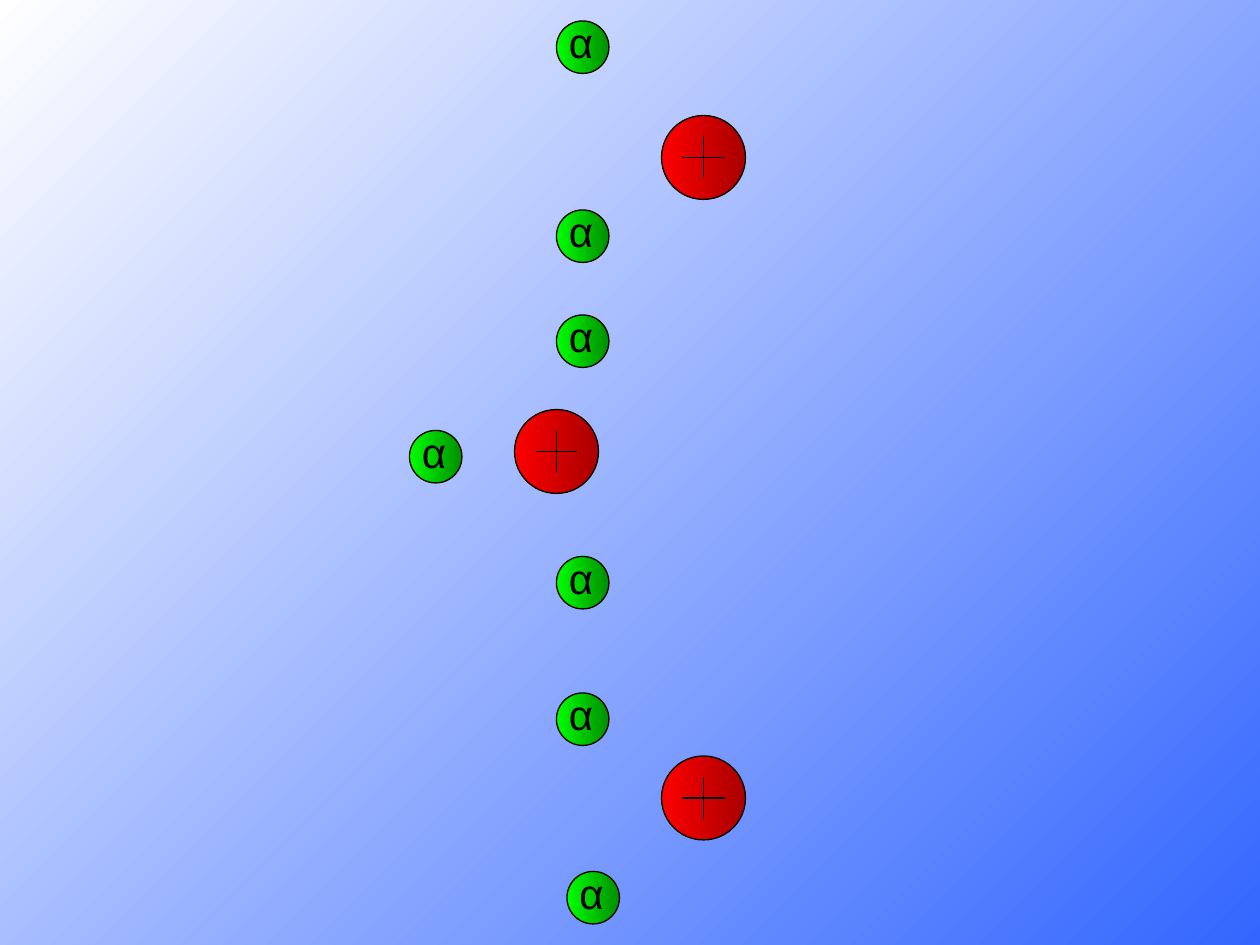
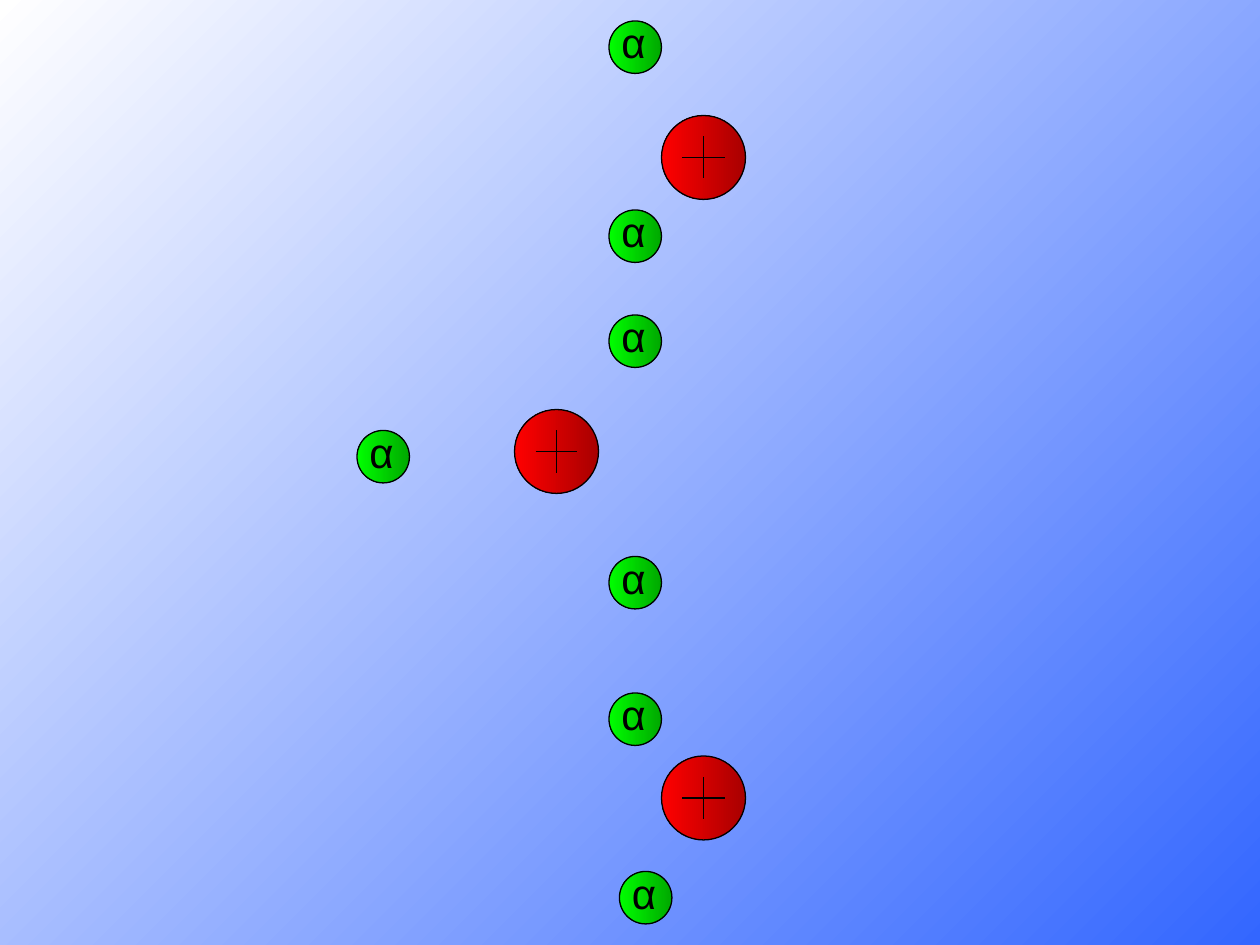
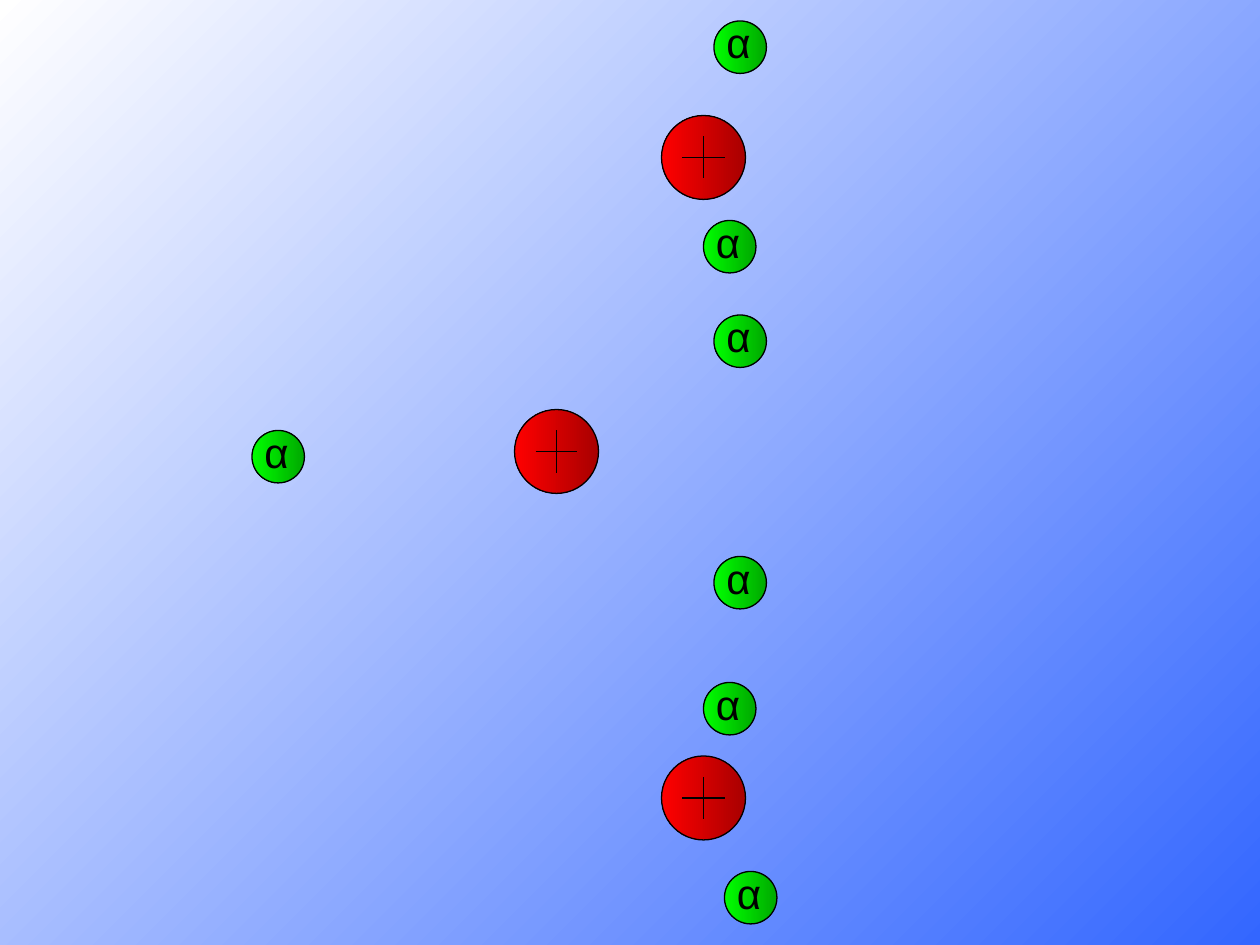
from pptx import Presentation
from pptx.dml.color import RGBColor
from pptx.enum.shapes import MSO_CONNECTOR, MSO_SHAPE
from pptx.enum.text import MSO_AUTO_SIZE
from pptx.oxml.ns import qn
from pptx.util import Emu, Pt
from lxml import etree

PX = 9525
BLACK = RGBColor(0x00, 0x00, 0x00)
WHITE = RGBColor(0xFF, 0xFF, 0xFF)
BLUE = RGBColor(0x33, 0x66, 0xFF)
RED = RGBColor(0xFF, 0x00, 0x00)
DARK_RED = RGBColor(0xA8, 0x00, 0x00)
GREEN = RGBColor(0x00, 0xFF, 0x00)
DARK_GREEN = RGBColor(0x00, 0x8E, 0x00)
MID_GREEN = RGBColor(0x00, 0xA8, 0x00)

NUCLEUS = 64
ALPHA = 40
NUCLEI = [(504, 88), (392, 312), (504, 576)]
# x, y, travel direction, bend of the path beside a nucleus
ALPHAS = [
    (424, 528, 1, -8),
    (312, 328, -1, 0),
    (424, 160, 1, 8),
    (432, 664, 1, 0),
    (424, 16, 1, 0),
    (424, 424, 1, 0),
    (424, 240, 1, 0),
]
FRAMES = [(0, False, DARK_GREEN), (40, False, MID_GREEN), (120, True, MID_GREEN)]


def px(*lengths):
    return [Emu(n * PX) for n in lengths]


class Deck:
    font = "Arial"
    size = Pt(24)
    line_width = Pt(0.75)

    def __init__(self):
        self.prs = Presentation()
        self.prs.slide_width, self.prs.slide_height = px(960, 720)
        self.s = None

    def gradient(self, fill, start, end, angle):
        fill.gradient()
        fill.gradient_angle = angle
        for stop, color in zip(fill.gradient_stops, (start, end)):
            stop.color.rgb = color

    def outline(self, line):
        line.color.rgb = BLACK
        line.width = self.line_width

    def slide(self):
        self.s = self.prs.slides.add_slide(self.prs.slide_layouts[6])
        self.gradient(self.s.background.fill, BLUE, WHITE, 135)

    def ball(self, shapes, x, y, size, dark, light):
        sp = shapes.add_shape(MSO_SHAPE.OVAL, *px(x, y, size, size))
        sp.shadow.inherit = False
        self.gradient(sp.fill, dark, light, 180)
        self.outline(sp.line)

    def line(self, shapes, x1, y1, x2, y2):
        c = shapes.add_connector(MSO_CONNECTOR.STRAIGHT, *px(x1, y1, x2, y2))
        self.outline(c.line)
        etree.SubElement(c._element.spPr, qn("a:effectLst"))

    def nucleus(self, x, y):
        shapes = self.s.shapes.add_group_shape().shapes
        self.ball(shapes, x, y, NUCLEUS, DARK_RED, RED)
        arm = NUCLEUS // 4
        cx, cy = x + NUCLEUS // 2, y + NUCLEUS // 2
        self.line(shapes, cx, cy - arm, cx, cy + arm)
        self.line(shapes, cx - arm, cy, cx + arm, cy)

    def alpha(self, x, y, dark):
        self.ball(self.s.shapes, x, y, ALPHA, dark, GREEN)
        tf = self.s.shapes.add_textbox(*px(x, y - 8, 39, 48)).text_frame
        tf.word_wrap = False
        tf.auto_size = MSO_AUTO_SIZE.SHAPE_TO_FIT_TEXT
        tf.text = "α"
        r = tf.paragraphs[0].runs[0]
        r.font.name = self.font
        r.font.size = self.size
        r.font.color.rgb = BLACK


def main():
    deck = Deck()
    for travel, bent, dark in FRAMES:
        deck.slide()
        for x, y in NUCLEI:
            deck.nucleus(x, y)
        for x, y, direction, bend in ALPHAS:
            shift = bend if bent else 0
            deck.alpha(x + direction * travel - abs(shift), y + shift, dark)
    deck.prs.save("out.pptx")


if __name__ == "__main__":
    main()
